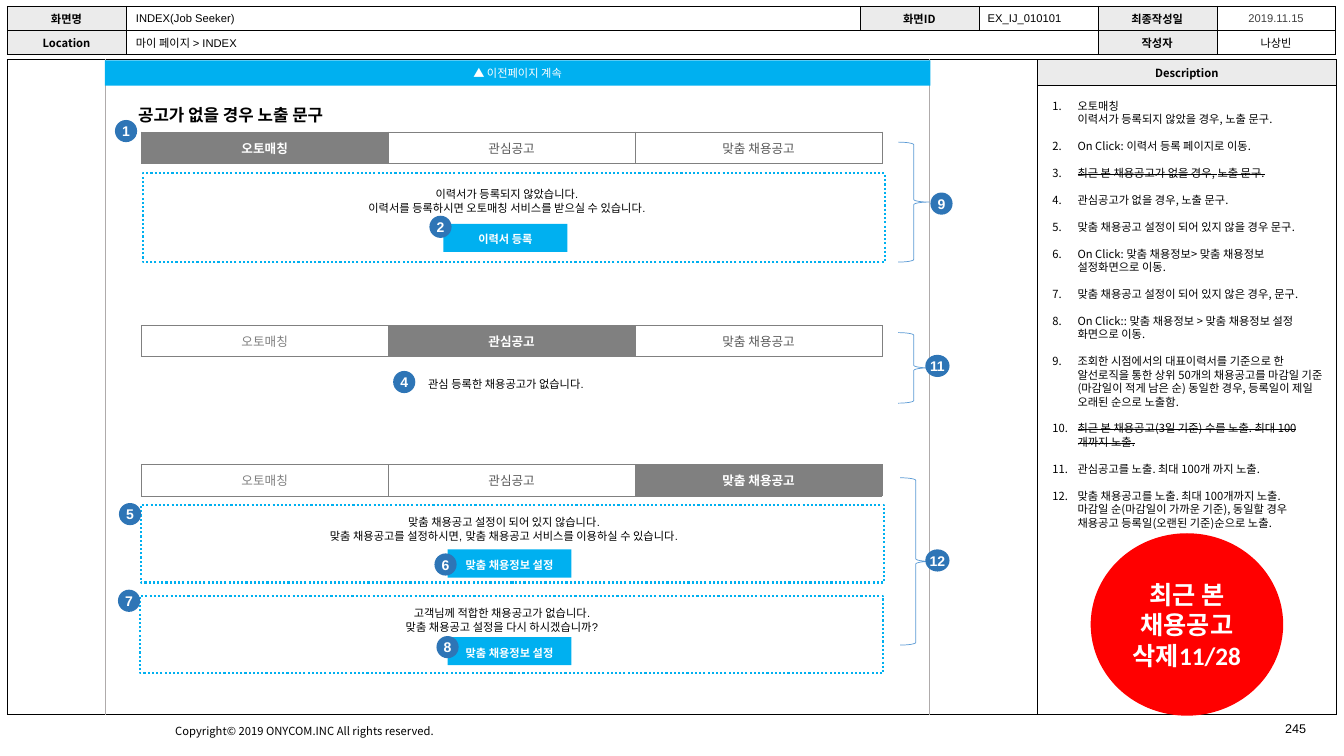
from lxml import etree
from pptx import Presentation
from pptx.dml.color import RGBColor
from pptx.enum.dml import MSO_LINE
from pptx.enum.shapes import MSO_CONNECTOR, MSO_SHAPE
from pptx.enum.text import MSO_ANCHOR, MSO_AUTO_SIZE, PP_ALIGN
from pptx.oxml.ns import qn
from pptx.util import Inches, Pt

RECT, OVAL, BRACE = MSO_SHAPE.RECTANGLE, MSO_SHAPE.OVAL, MSO_SHAPE.RIGHT_BRACE
STRAIGHT, DOTTED = MSO_CONNECTOR.STRAIGHT, MSO_LINE.ROUND_DOT
TOP, MIDDLE = MSO_ANCHOR.TOP, MSO_ANCHOR.MIDDLE
LEFT, CENTER = PP_ALIGN.LEFT, PP_ALIGN.CENTER
NO_FIT = MSO_AUTO_SIZE.NONE

CELL = Inches(0.1)
COLUMNS, ROWS = 133.33, 75
SANS, NOTO, CALIBRI = "Arial", "Noto Sans CJK KR", "Calibri"
COLORS = {
    "black": "000000", "white": "FFFFFF", "head": "EBEBEB", "sky": "00B0F0",
    "badge": "2E75B6", "brace": "5B9BD5", "gray": "808080", "dark": "595959",
    "date": "404040", "guide": "AFABAB", "red": "FF0000",
}
TABS = ["오토매칭", "관심공고", "맞춤 채용공고"]
NOTES = [
    ("오토매칭\v이력서가 등록되지 않았을 경우, 노출 문구.", False),
    ("On Click: 이력서 등록 페이지로 이동.", False),
    ("최근 본 채용공고가 없을 경우, 노출 문구.", True),
    ("관심공고가 없을 경우, 노출 문구.", False),
    ("맞춤 채용공고 설정이 되어 있지 않을 경우 문구.", False),
    ("On Click: 맞춤 채용정보> 맞춤 채용정보 설정화면으로 이동.", False),
    ("맞춤 채용공고 설정이 되어 있지 않은 경우, 문구.", False),
    ("On Click:: 맞춤 채용정보 > 맞춤 채용정보 설정 화면으로 이동.", False),
    ("조회한 시점에서의 대표이력서를 기준으로 한 알선로직을 통한 상위 50개의 "
     "채용공고를 마감일 기준(마감일이 적게 남은 순) 동일한 경우, "
     "등록일이 제일 오래된 순으로 노출함.", False),
    ("최근 본 채용공고(3일 기준) 수를 노출. 최대 100개까지 노출.", True),
    ("관심공고를 노출. 최대 100개 까지 노출.", False),
    ("맞춤 채용공고를 노출. 최대 100개까지 노출.\v마감일 순(마감일이 가까운 기준), "
     "동일할 경우 채용공고 등록일(오랜된 기준)순으로 노출.", False),
]


def grid(*cells):
    return [round(n * CELL) for n in cells]


def rgb(name):
    return RGBColor.from_string(COLORS[name])


def style(p, size, font=SANS, color="black", bold=False, align=CENTER, pitch=None):
    p.alignment = align
    if pitch:
        p.line_spacing = Pt(pitch)
    f = p.font
    f.size, f.name, f.bold = Pt(size), font, bold
    f.color.rgb = rgb(color)


def write(tf, lines, *look, anchor=TOP, margins=(0.1, 0.05, 0.1, 0.05), **more):
    tf.word_wrap = True
    tf.auto_size = NO_FIT
    tf.vertical_anchor = anchor
    tf.margin_left, tf.margin_top, tf.margin_right, tf.margin_bottom = map(Inches, margins)
    for i, line in enumerate(lines):
        p = tf.paragraphs[0] if i == 0 else tf.add_paragraph()
        p.text = line
        style(p, *look, **more)


def label(s, box, lines, size=8, **more):
    write(s.shapes.add_textbox(*grid(*box)).text_frame, lines, size, **more)


def shape(s, kind, box, fill=None, line=None, width=0.5):
    sp = s.shapes.add_shape(kind, *grid(*box))
    sp.shadow.inherit = False
    if fill:
        sp.fill.solid()
        sp.fill.fore_color.rgb = rgb(fill)
    else:
        sp.fill.background()
    if line:
        sp.line.color.rgb = rgb(line)
        sp.line.width = Pt(width)
    else:
        sp.line.fill.background()
    return sp


def button(s, left, top, text):
    sp = shape(s, RECT, (left, top, 12.3, 2.8), "sky")
    write(sp.text_frame, [text], 8, color="white", bold=True, anchor=MIDDLE,
          margins=(0.1, 0.08, 0.1, 0.05))


def badge(s, left, top, number):
    sp = shape(s, OVAL, (left, top, 2.4 if number > 9 else 2.2, 2.2), "badge")
    write(sp.text_frame, [str(number)], 10, color="white", bold=True, anchor=MIDDLE,
          margins=(0, 0, 0, 0))


def guide(s, x):
    c = s.shapes.add_connector(STRAIGHT, *grid(x, 5.9, x, 70.9))
    c.line.color.rgb = rgb("guide")
    c.line.width = Pt(0.5)
    etree.SubElement(c._element.spPr, qn("a:effectLst"))


def border(cell, color, width):
    tc_pr = cell._tc.get_or_add_tcPr()
    for i, side in enumerate(("lnL", "lnR", "lnT", "lnB")):
        ln = etree.Element(qn("a:" + side), w=str(Pt(width)))
        fill = etree.SubElement(ln, qn("a:solidFill"))
        etree.SubElement(fill, qn("a:srgbClr"), val=COLORS[color])
        tc_pr.insert(i, ln)


def table(s, left, top, widths, heights, line, width):
    shp = s.shapes.add_table(len(heights), len(widths),
                             *grid(left, top, sum(widths), sum(heights)))
    tbl = shp.table
    tbl.first_row = tbl.horz_banding = False
    for column, size in zip(tbl.columns, grid(*widths)):
        column.width = size
    for row, size in zip(tbl.rows, grid(*heights)):
        row.height = size
    for cell in tbl.iter_cells():
        fill_cell(cell, "white")
        border(cell, line, width)
        etree.SubElement(cell.text_frame.paragraphs[0]._p, qn("a:endParaRPr"), sz="800")
    return tbl


def fill_cell(cell, fill, text="", **look):
    cell.fill.solid()
    cell.fill.fore_color.rgb = rgb(fill)
    cell.vertical_anchor = MIDDLE
    cell.margin_left = cell.margin_right = cell.margin_top = cell.margin_bottom = Inches(0.01)
    if text:
        p = cell.text_frame.paragraphs[0]
        p.text = text
        style(p, **look)


def tab_bar(s, top, active):
    tbl = table(s, 14, top, [24.5] * 3, [3.1], "gray", 0.5)
    for i, text in enumerate(TABS):
        on = i == active
        color = "white" if on else "gray" if i == 0 else "dark"
        fill_cell(tbl.cell(0, i), "gray" if on else "white", text,
                  size=9, font=NOTO, color=color, bold=on)


def page_frame(s):
    frame = table(s, 0.7, 5.9, [102.2, 29.7], [2.5, 62.4], "black", 0.25)
    frame.cell(0, 0).merge(frame.cell(1, 0))
    head = dict(size=8, font=NOTO, bold=True)
    fill_cell(frame.cell(0, 1), "head", "Description", **head)
    info = table(s, 0.7, 0.6, [11.8, 72.8] + [11.8] * 4, [2.4] * 2, "black", 0.25)
    info.cell(1, 1).merge(info.cell(1, 3))
    for row, col, text in [(0, 0, "화면명"), (0, 2, "화면ID"), (0, 4, "최종작성일"),
                           (1, 0, "Location"), (1, 4, "작성자")]:
        fill_cell(info.cell(row, col), "head", text, **head)
    fill_cell(info.cell(0, 5), "white", "2019.11.15", size=8, color="date")
    fill_cell(info.cell(1, 5), "white", "나상빈", size=8)
    label(s, (12.5, 0.6, 38.1, 2.4), ["INDEX(Job Seeker)"], align=LEFT)
    label(s, (12.5, 3.1, 38.1, 2.4), ["마이 페이지 > INDEX"], align=LEFT)
    label(s, (97, 0.6, 11.9, 2.4), ["EX_IJ_010101"], align=LEFT)
    label(s, (16.4, 71.4, 32, 2.4), ["Copyright© 2019 ONYCOM.INC All rights reserved."],
          font=NOTO, align=LEFT)
    label(s, (126.5, 71, 5.6, 4), ["245"], 9, align=LEFT)
    guide(s, 10.5)
    guide(s, 92.2)


def place(s, sp, box):
    sp.left, sp.top, sp.width, sp.height = grid(*box)
    s.shapes._spTree.append(sp._element)


def heading(s):
    place(s, s.shapes.title, (12.7, 9.9, 30, 3))
    write(s.shapes.title.text_frame, ["공고가 없을 경우 노출 문구"], 12, CALIBRI,
          bold=True, align=LEFT)


def description(s):
    body = s.placeholders[1]
    place(s, body, (103.6, 9.4, 28.4, 49.3))
    tf = body.text_frame
    write(tf, [], margins=(0.08, 0.04, 0.04, 0.04))
    for i, (text, struck) in enumerate(NOTES):
        p = tf.paragraphs[0] if i == 0 else tf.add_paragraph()
        p.text = text
        p_pr = p._p.get_or_add_pPr()
        p_pr.set("marL", str(Inches(0.25)))
        p_pr.set("indent", str(-Inches(0.25)))
        etree.SubElement(p_pr, qn("a:buFont"), typeface="+mj-lt")
        etree.SubElement(p_pr, qn("a:buAutoNum"), type="arabicPeriod")
        style(p, 8, NOTO, align=LEFT, pitch=9.6)
        p.space_before = Pt(9.6 if i else 0)
        if struck:
            for r in p.runs:
                r._r.get_or_add_rPr().set("strike", "sngStrike")


def main():
    prs = Presentation()
    prs.slide_width, prs.slide_height = grid(COLUMNS, ROWS)
    s = prs.slides.add_slide(prs.slide_layouts[1])
    page_frame(s)
    heading(s)
    banner = shape(s, RECT, (10.4, 6, 81.9, 2.5), "sky")
    write(banner.text_frame, ["▲ 이전페이지 계속"], 8, CALIBRI, color="white", anchor=MIDDLE)
    for active, top in enumerate((13.1, 32.3, 46.1)):
        tab_bar(s, top, active)
    for left, top, lines in [
        (13, 18, ["이력서가 등록되지 않았습니다.",
                  "이력서를 등록하시면 오토매칭 서비스를 받으실 수 있습니다."]),
        (12.9, 36.9, ["관심 등록한 채용공고가 없습니다."]),
        (12.7, 50.6, ["맞춤 채용공고 설정이 되어 있지 않습니다.",
                      "맞춤 채용공고를 설정하시면, 맞춤 채용공고 서비스를 이용하실 수 있습니다."]),
        (12.5, 59.6, ["고객님께 적합한 채용공고가 없습니다.",
                      "맞춤 채용공고 설정을 다시 하시겠습니까?"]),
    ]:
        label(s, (left, top, 74.6, 3.7), lines, pitch=10)
    button(s, 44, 22.2, "이력서 등록")
    for top in (54.5, 63.2):
        button(s, 44.4, top, "맞춤 채용정보 설정")
    description(s)
    for box in [(14.2, 17.2, 73.6, 8.8), (14, 50.1, 73.7, 7.7), (13.9, 59.1, 73.7, 7.7)]:
        shape(s, RECT, box, line="sky", width=1.5).line.dash_style = DOTTED
    for left, top, height in [(89.1, 14.1, 11.9), (89.1, 33, 7), (89.3, 47.4, 16.6)]:
        shape(s, BRACE, (left, top, 3.1, height), line="brace")
    for left, top, number in [
        (11.4, 11.9, 1), (42.6, 21.4, 2), (39, 36.8, 4), (11.8, 49.9, 5), (43.1, 54.9, 6),
        (11.7, 58.5, 7), (43.3, 63.1, 8), (92.3, 19.1, 9), (91.8, 35.2, 11), (91.8, 54.5, 12),
    ]:
        badge(s, left, top, number)
    notice = shape(s, OVAL, (108.2, 52.9, 19.1, 18.1), "red")
    write(notice.text_frame, ["최근 본", "채용공고 삭제11/28"], 18, CALIBRI, color="white",
          bold=True, anchor=MIDDLE, pitch=21.8)
    prs.save("out.pptx")


if __name__ == "__main__":
    main()
